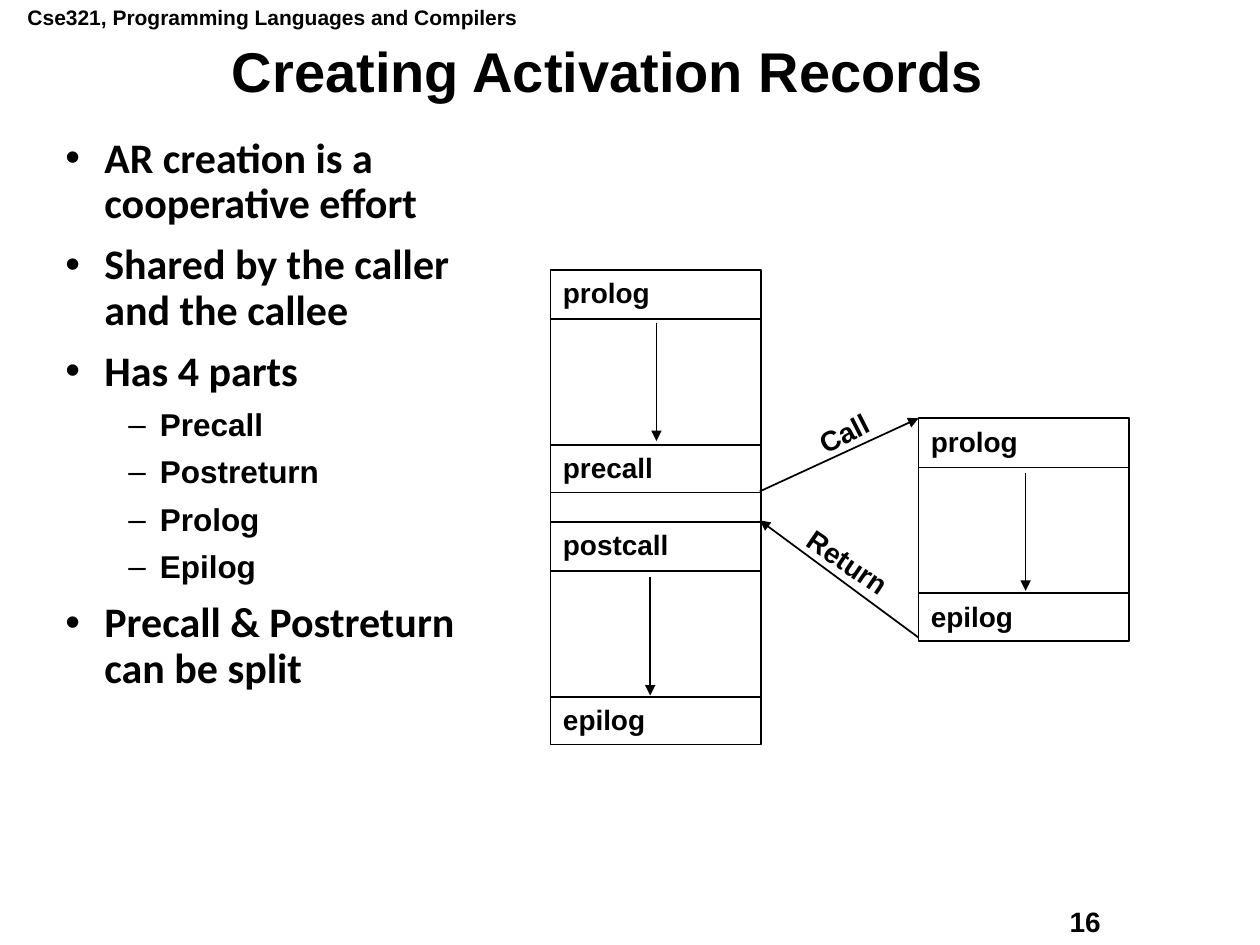
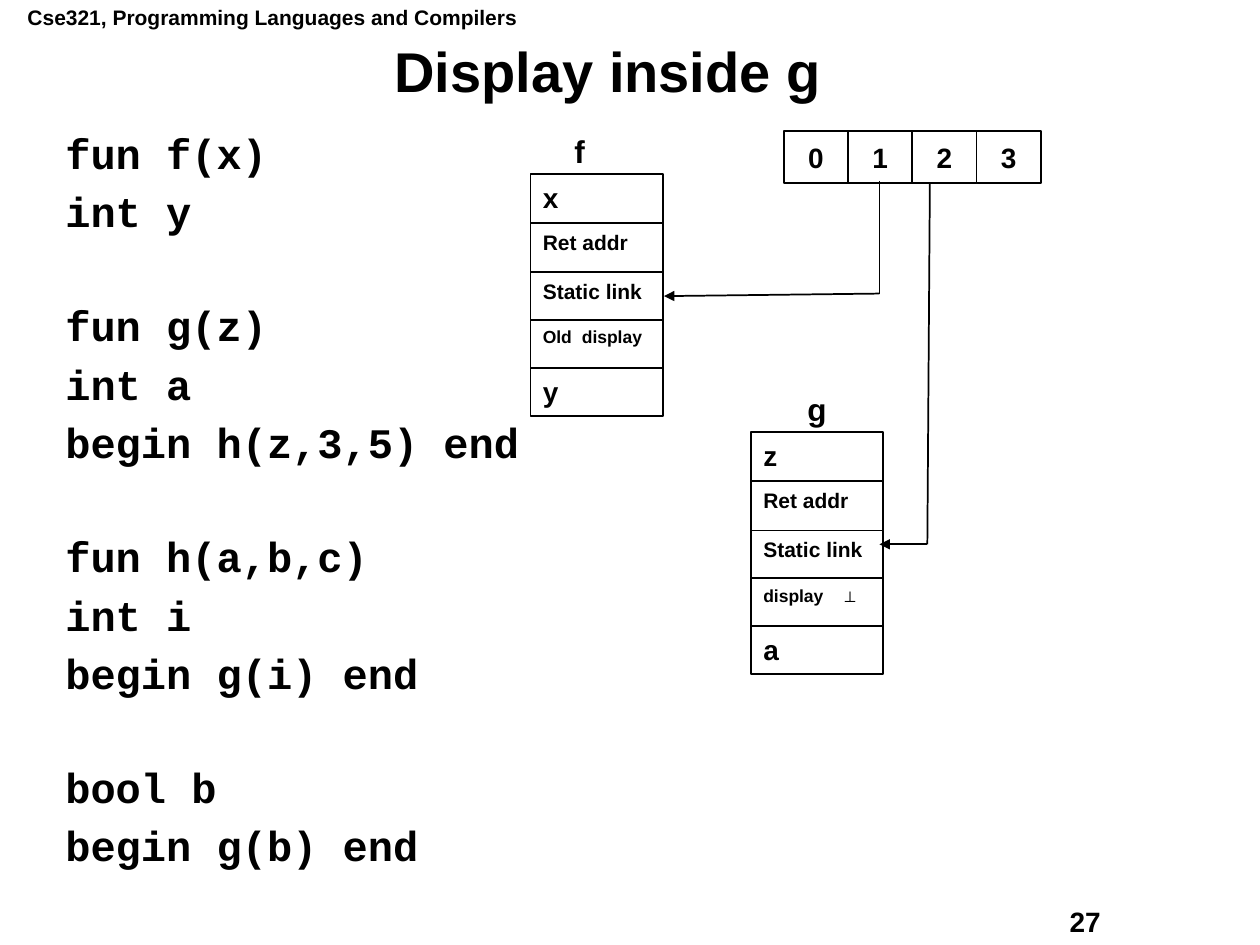
from dataclasses import dataclass

import lxml.etree
import pptx
import pptx.dml.color
import pptx.enum.shapes
import pptx.enum.text
import pptx.oxml.ns
import pptx.util

Inches, Pt = pptx.util.Inches, pptx.util.Pt
ALIGN, ANCHOR = pptx.enum.text.PP_ALIGN, pptx.enum.text.MSO_ANCHOR
RECT = pptx.enum.shapes.MSO_SHAPE.RECTANGLE
STRAIGHT = pptx.enum.shapes.MSO_CONNECTOR.STRAIGHT


@dataclass(frozen=True)
class Theme:
    ink: str = "000000"
    paper: str = "FFFFFF"
    sans: str = "Arial"
    bullet: str = "Calibri"
    code: str = "Courier New"
    title: int = 32
    body: int = 24
    sub: int = 18
    label: int = 16
    small: int = 12
    tiny: int = 10
    line: int = 1


T = Theme()
BULLETS = {
    "•": dict(size=T.body, font=T.bullet, indent=0.31, hang=0.31, before=9),
    "–": dict(size=T.sub, font=T.sans, indent=0.75, hang=0.25, before=7.75),
}
ROW, LOW_ROW, BLOCK, GAP = 0.39, 0.38, 1, 0.23
CALLER_X, CALLEE_X, BLOCK_W = 4.37, 7.29, 1.67
FRAME_W, CELL_W, CELL_H = 1.05, 0.51, 0.41


def rgb(value):
    return pptx.dml.color.RGBColor.from_string(value)


def add_xml(parent, tag, **attrs):
    return lxml.etree.SubElement(parent, pptx.oxml.ns.qn(tag), attrs)


def write(p, text, size=T.label, font=T.sans, **fmt):
    r = p.add_run()
    r.text = text
    style = dict(size=Pt(size), name=font, bold=True)
    for name, value in style.items():
        setattr(r.font, name, value)
    r.font.color.rgb = rgb(T.ink)
    for name, value in fmt.items():
        setattr(p, name, value)


def set_frame(sp, anchor=ANCHOR.TOP):
    tf = sp.text_frame
    tf.word_wrap = True
    tf.vertical_anchor = anchor
    return tf


def add_text(s, box, text="", anchor=ANCHOR.TOP, rotation=0, **style):
    """Add a text box and return its text frame."""
    sp = s.shapes.add_textbox(*map(Inches, box))
    sp.rotation = rotation
    tf = set_frame(sp, anchor)
    if text:
        write(tf.paragraphs[0], text, **style)
    return tf


def add_box(s, box, text="", size=T.label, align=ALIGN.LEFT, anchor=ANCHOR.TOP,
            fill=None, tab=None):
    sp = s.shapes.add_shape(RECT, *map(Inches, box))
    sp.shadow.inherit = False
    if fill:
        sp.fill.solid()
        sp.fill.fore_color.rgb = rgb(fill)
    else:
        sp.fill.background()
    sp.line.color.rgb = rgb(T.ink)
    sp.line.width = Pt(T.line)
    p = set_frame(sp, anchor).paragraphs[0]
    if tab:
        tabs = add_xml(p._p.get_or_add_pPr(), "a:tabLst")
        add_xml(tabs, "a:tab", pos=str(Inches(tab)), algn="l")
    if text:
        write(p, text, size, alignment=align)


def add_line(s, start, end, arrow=True):
    c = s.shapes.add_connector(STRAIGHT, *map(Inches, start + end))
    c.line.color.rgb = rgb(T.ink)
    c.line.width = Pt(T.line)
    if arrow:
        add_xml(c.line._get_or_add_ln(), "a:tailEnd", type="triangle")
    add_xml(c._element.spPr, "a:effectLst")


def add_stack(s, x, y, width, rows):
    """Stack boxes downwards; a row is height, text, size and tab position."""
    for height, *content in rows:
        text, size, tab = (content + ["", T.label, None][len(content):])
        add_box(s, (x, y, width, height), text, size, tab=tab)
        y += height


def add_bullets(s, box, items):
    tf = add_text(s, box)
    for i, (char, text) in enumerate(items):
        p = tf.add_paragraph() if i else tf.paragraphs[0]
        look = BULLETS[char]
        pPr = p._p.get_or_add_pPr()
        pPr.set("marL", str(Inches(look["indent"])))
        pPr.set("indent", str(-Inches(look["hang"])))
        add_xml(add_xml(pPr, "a:buClr"), "a:srgbClr", val=T.ink)
        add_xml(pPr, "a:buFont", typeface=T.sans)
        add_xml(pPr, "a:buChar", char=char)
        write(p, text, look["size"], look["font"], line_spacing=0.9,
              space_before=Pt(look["before"] if i else 0))


def add_code(s, box, groups):
    """Write code lines, with a wider gap ahead of each later group."""
    tf = add_text(s, box)
    for g, lines in enumerate(groups):
        for i, line in enumerate(lines):
            first = g == i == 0
            p = tf.paragraphs[0] if first else tf.add_paragraph()
            gap = 0 if first else 10.25 if i else 42.25
            write(p, line, T.body, T.code, line_spacing=0.8, space_before=Pt(gap))


def add_slide(prs, title, number):
    s = prs.slides.add_slide(prs.slide_layouts[6])
    s.background.fill.solid()
    s.background.fill.fore_color.rgb = rgb(T.paper)
    add_text(s, (0.12, -0.01, 4.3, 0.3),
             "Cse321, Programming Languages and Compilers", size=T.small)
    add_text(s, (8.39, 7.13, 1.27, 0.36), str(number))
    add_text(s, (0.31, 0.31, 9.03, 0.56), title, ANCHOR.MIDDLE, size=T.title,
             alignment=ALIGN.CENTER, line_spacing=0.9)
    return s


def add_record(s, x, y, name, name_x, argument, display, tab, local):
    """Draw one activation record with its function name above."""
    add_stack(s, x, y, FRAME_W, [
        (ROW, argument), (ROW, "Ret addr", T.small),
        (LOW_ROW, "Static link", T.small),
        (LOW_ROW, display, T.tiny, tab), (LOW_ROW, local)])
    add_text(s, (name_x, y - 0.38, 0.36, 0.4), name, size=T.sub)


def build_creation(prs):
    s = add_slide(prs, "Creating Activation Records", 16)
    add_bullets(s, (0.42, 1.04, 3.62, 5.83), [
        ("•", "AR creation is a cooperative effort"),
        ("•", "Shared by the caller and the callee"),
        ("•", "Has 4 parts"),
        ("–", "Precall"), ("–", "Postreturn"), ("–", "Prolog"), ("–", "Epilog"),
        ("•", "Precall & Postreturn can be split")])
    callee = [(ROW, "prolog"), (BLOCK,), (LOW_ROW, "epilog")]
    caller = [(ROW, "prolog"), (BLOCK,), (LOW_ROW, "precall"), (GAP,),
              (ROW, "postcall"), *callee[1:]]
    add_stack(s, CALLER_X, 2.14, BLOCK_W, caller)
    add_stack(s, CALLEE_X, 3.32, BLOCK_W, callee)
    for x, y in [(5.21, 2.56), (5.16, 4.58), (8.14, 3.75)]:
        add_line(s, (x, y), (x, y + 0.94))
    add_line(s, (6.03, 3.9), (CALLEE_X, 3.32))
    add_line(s, (CALLEE_X, 5.06), (6.03, 4.13))
    add_text(s, (6.38, 3.19, 0.89, 0.37), "Call", rotation=332.9)
    add_text(s, (6.26, 4.32, 1.06, 0.37), "Return", rotation=34.4)


def build_display(prs):
    s = add_slide(prs, "Display inside g", 27)
    add_code(s, (0.42, 1.04, 3.92, 5.96), [
        ["fun f(x)", "int y"],
        ["fun g(z)", "int a", "begin h(z,3,5) end"],
        ["fun h(a,b,c)", "int i", "begin g(i) end"],
        ["bool b", "begin g(b) end"]])
    for i in range(4):
        add_box(s, (6.22 + i * CELL_W, 1.04, CELL_W, CELL_H), str(i),
                align=ALIGN.CENTER, anchor=ANCHOR.MIDDLE, fill=T.paper)
    add_line(s, (6.98, 1.44), (6.98, 2.33), arrow=False)
    add_line(s, (6.98, 2.33), (5.27, 2.35))
    add_line(s, (7.38, 1.46), (7.36, 4.32), arrow=False)
    add_line(s, (7.36, 4.32), (6.98, 4.32))
    add_record(s, 4.21, 1.38, "f", 4.46, "x", "Old\tdisplay", 0.31, "y")
    add_record(s, 5.96, 3.43, "g", 6.31, "z", "display\t⊥", 0.62, "a")


def main():
    prs = pptx.Presentation()
    prs.slide_width, prs.slide_height = Inches(10), Inches(7.5)
    build_creation(prs)
    build_display(prs)
    prs.save("out.pptx")


if __name__ == "__main__":
    main()
